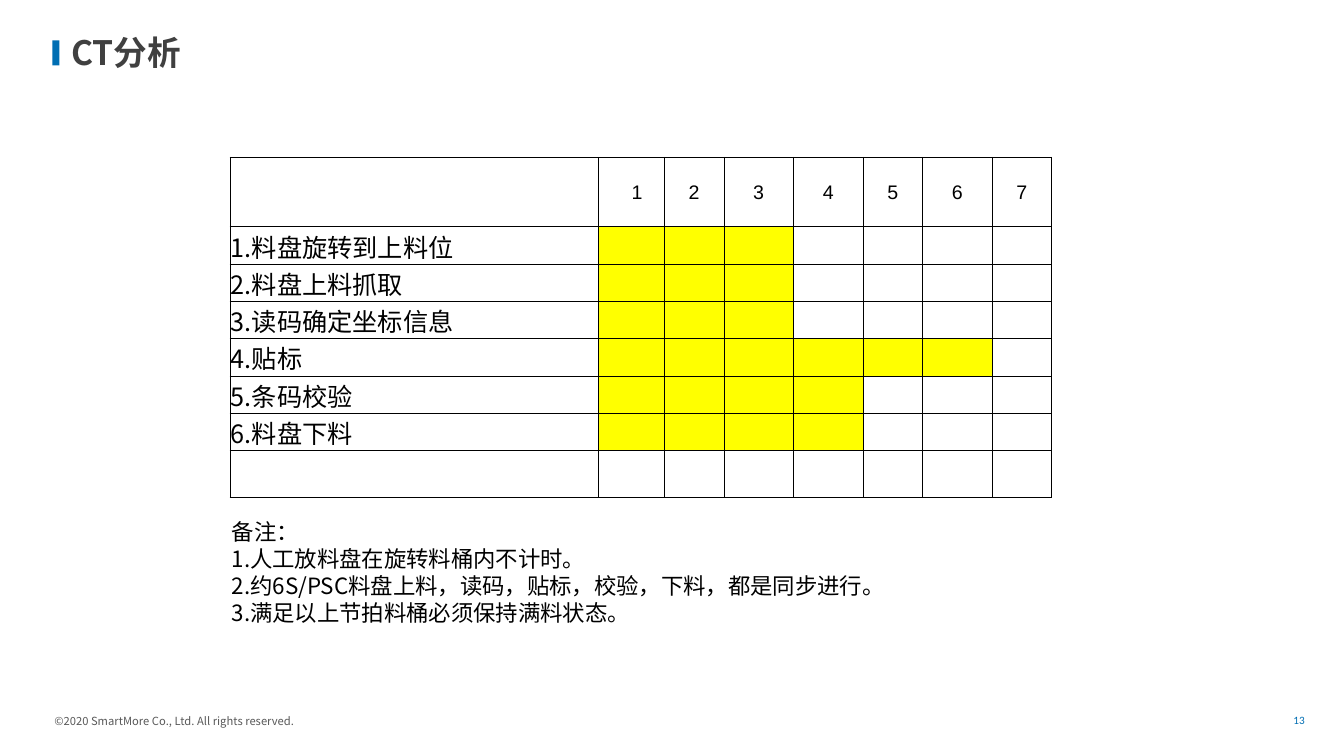
import pptx
import pptx.util
import pptx.dml.color
import pptx.enum.shapes
import pptx.enum.text
import pptx.oxml
import pptx.oxml.ns
import lxml.etree

Inches = pptx.util.Inches
Align = pptx.enum.text.PP_ALIGN
Anchor = pptx.enum.text.MSO_ANCHOR

COLORS = {"blue": "006EB3", "title": "404040", "footer": "595959",
          "black": "000000", "white": "FFFFFF", "yellow": "FFFF00"}
CJK = "Noto Sans CJK SC"
STEPS = [("1.料盘旋转到上料位", 3), ("2.料盘上料抓取", 3), ("3.读码确定坐标信息", 3),
         ("4.贴标", 6), ("5.条码校验", 4), ("6.料盘下料", 4)]
NOTES = ["备注：", "1.人工放料盘在旋转料桶内不计时。",
         "2.约6S/PSC料盘上料，读码，贴标，校验，下料，都是同步进行。",
         "3.满足以上节拍料桶必须保持满料状态。"]
COLUMN_WIDTHS = [3.65, 0.66, 0.59, 0.69, 0.69, 0.59, 0.69, 0.59]
ROW_HEIGHTS = [0.69] + [0.37] * len(STEPS) + [0.47]


class SlideBuilder:
    """Draws styled elements on one slide."""

    def __init__(self, slide):
        self.slide = slide

    def color(self, name):
        return pptx.dml.color.RGBColor.from_string(COLORS[name])

    def fill(self, target, name):
        target.fill.solid()
        target.fill.fore_color.rgb = self.color(name)

    def add_line(self, paragraph, text, size, font=CJK, color="black", bold=False,
                 **paragraph_format):
        for name, value in paragraph_format.items():
            setattr(paragraph, name, value)
        run = paragraph.add_run()
        run.text = text
        values = {"size": pptx.util.Pt(size), "name": font, "bold": bold}
        for name, value in values.items():
            setattr(run.font, name, value)
        run.font.color.rgb = self.color(color)
        east_asian = lxml.etree.SubElement(run.font._element, pptx.oxml.ns.qn("a:ea"))
        east_asian.set("typeface", font)

    def text(self, box, lines, size, inset=(0.1, 0.05), anchor=Anchor.TOP,
             wrap=False, **style):
        frame = self.slide.shapes.add_textbox(*map(Inches, box)).text_frame
        values = {"word_wrap": wrap, "vertical_anchor": anchor,
                  "margin_left": Inches(inset[0]), "margin_right": Inches(inset[0]),
                  "margin_top": Inches(inset[1]), "margin_bottom": Inches(inset[1])}
        for name, value in values.items():
            setattr(frame, name, value)
        for index, line in enumerate(lines):
            paragraph = frame.add_paragraph() if index else frame.paragraphs[0]
            self.add_line(paragraph, line, size, **style)

    def bar(self, box, color):
        shape = self.slide.shapes.add_shape(
            pptx.enum.shapes.MSO_SHAPE.RECTANGLE, *map(Inches, box))
        shape.shadow.inherit = False
        self.fill(shape, color)
        shape.line.fill.background()

    def cell(self, cell, color):
        values = {"margin_left": Inches(0.01), "margin_right": Inches(0.01),
                  "margin_top": Inches(0.01), "margin_bottom": 0,
                  "vertical_anchor": Anchor.MIDDLE}
        for name, value in values.items():
            setattr(cell, name, value)
        properties = cell._tc.get_or_add_tcPr()
        for side in ("lnL", "lnR", "lnT", "lnB"):
            properties.append(pptx.oxml.parse_xml(
                f'<a:{side} {pptx.oxml.ns.nsdecls("a")} w="6350"><a:solidFill>'
                f'<a:srgbClr val="{COLORS["black"]}"/></a:solidFill></a:{side}>'))
        self.fill(cell, color)

    def timing_table(self, left, top):
        table = self.slide.shapes.add_table(
            len(ROW_HEIGHTS), len(COLUMN_WIDTHS), Inches(left), Inches(top),
            Inches(sum(COLUMN_WIDTHS)), Inches(sum(ROW_HEIGHTS))).table
        for column, width in zip(table.columns, COLUMN_WIDTHS):
            column.width = Inches(width)
        durations = [0] + [seconds for _, seconds in STEPS] + [0]
        for index, (row, height) in enumerate(zip(table.rows, ROW_HEIGHTS)):
            row.height = Inches(height)
            for second, cell in enumerate(row.cells):
                active = 1 <= second <= durations[index]
                self.cell(cell, "yellow" if active else "white")
        for second in range(1, len(COLUMN_WIDTHS)):
            self.add_line(table.cell(0, second).text_frame.paragraphs[0],
                          str(second), 14, "Arial", alignment=Align.CENTER)
        table.cell(0, 1).margin_left = Inches(0.13)
        for index, (label, _) in enumerate(STEPS, 1):
            self.add_line(table.cell(index, 0).text_frame.paragraphs[0], label, 18)


def main():
    presentation = pptx.Presentation()
    presentation.slide_width = Inches(13.33)
    presentation.slide_height = Inches(7.5)
    builder = SlideBuilder(presentation.slides.add_slide(presentation.slide_layouts[6]))
    footer = {"size": 8, "inset": (0.07, 0.07), "anchor": Anchor.MIDDLE,
              "alignment": Align.CENTER}
    builder.text((12.74, 7, 0.29, 0.28), ["13"], font="Calibri", color="blue", **footer)
    builder.text((0.44, 7.01, 2.58, 0.28),
                 ["©2020 SmartMore Co., Ltd. All rights reserved."],
                 font="Noto Sans CJK JP", color="footer", **footer)
    builder.bar((0.52, 0.4, 0.07, 0.25), "blue")
    builder.text((0.61, 0.3, 12.54, 0.48), ["CT分析"], 24, anchor=Anchor.MIDDLE,
                 wrap=True, color="title", bold=True, line_spacing=0.9)
    builder.timing_table(2.28, 1.56)
    builder.text((2.2, 5.09, 6.67, 1.18), NOTES, 16)
    presentation.save("out.pptx")


if __name__ == "__main__":
    main()
